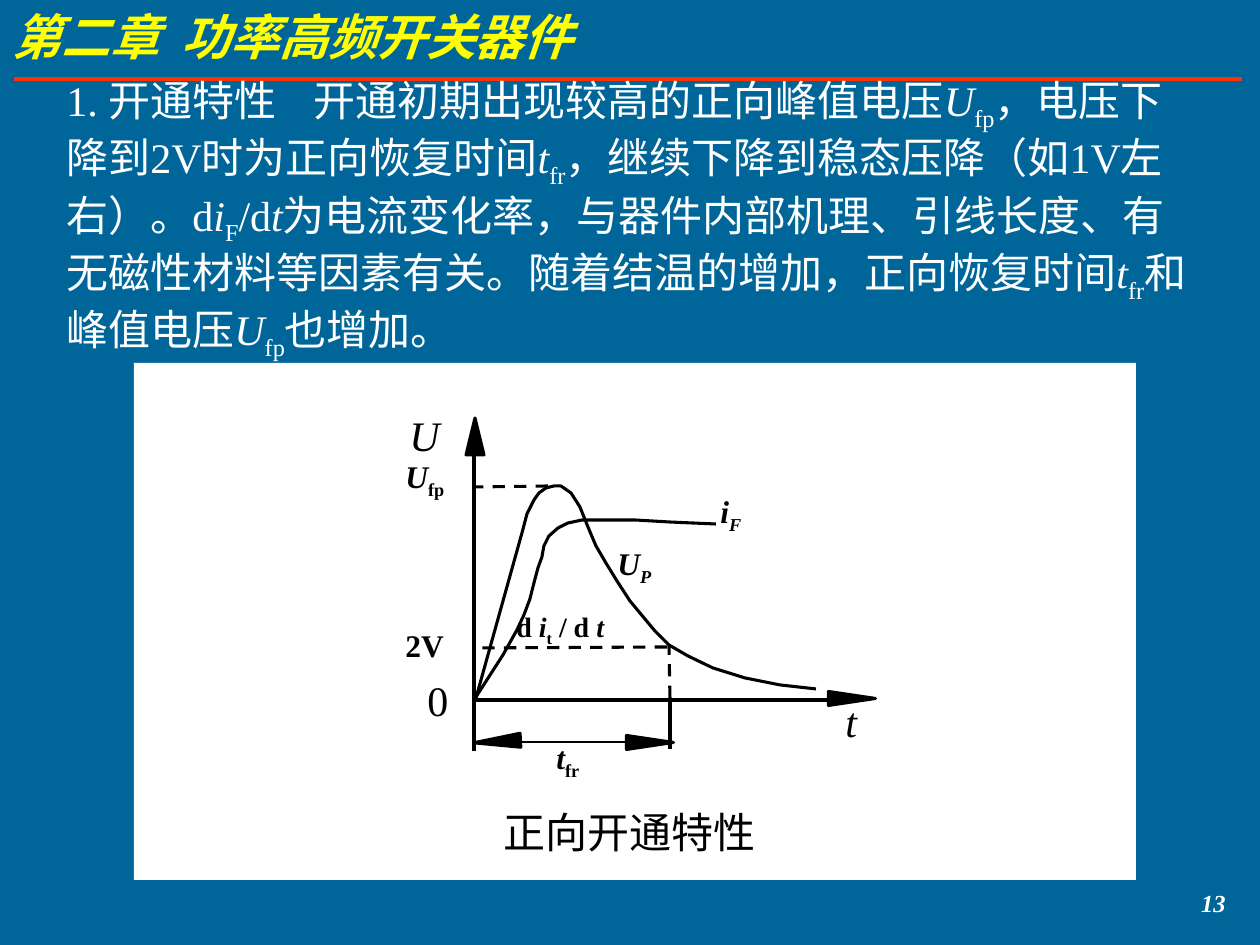
from dataclasses import dataclass

from lxml import etree
from pptx import Presentation
from pptx.dml.color import RGBColor
from pptx.enum.dml import MSO_LINE
from pptx.enum.shapes import MSO_CONNECTOR, MSO_SHAPE
from pptx.enum.text import MSO_ANCHOR, MSO_AUTO_SIZE, PP_ALIGN
from pptx.oxml.ns import qn
from pptx.util import Emu, Pt

STRAIGHT = MSO_CONNECTOR.STRAIGHT
RECTANGLE = MSO_SHAPE.RECTANGLE
TRIANGLE = MSO_SHAPE.ISOSCELES_TRIANGLE
DASH = MSO_LINE.DASH
TOP, MIDDLE = MSO_ANCHOR.TOP, MSO_ANCHOR.MIDDLE
LEFT, RIGHT = PP_ALIGN.LEFT, PP_ALIGN.RIGHT
GROW, FIXED = MSO_AUTO_SIZE.SHAPE_TO_FIT_TEXT, MSO_AUTO_SIZE.NONE

EMU_PER_PX = 914400 / 126
FONT = "Times New Roman"
BLUE, WHITE, BLACK, YELLOW, RED = "006699", "FFFFFF", "000000", "FFFF00", "FF3300"
STROKE = 1.76


@dataclass
class Run:
    """A piece of text; style letters: b bold, i italic, s subscript."""
    text: str
    style: str = ""
    size: float = 0


@dataclass
class Label:
    """A text box in pixels with its runs."""
    box: tuple[int, int, int, int]
    size: float
    runs: list[Run]
    color: str = BLACK
    wrap: bool = False
    anchor: MSO_ANCHOR = MIDDLE
    align: PP_ALIGN = LEFT
    fit: MSO_AUTO_SIZE = GROW


@dataclass
class Line:
    """A straight line between two points in pixels."""
    start: tuple[int, int]
    end: tuple[int, int]
    width: float = STROKE
    color: str = BLACK
    dashed: bool = False


@dataclass
class Arrowhead:
    """A solid triangle, turned clockwise by some degrees."""
    box: tuple[int, int, int, int]
    rotation: float


def px(value: float) -> Emu:
    """Turn pixels into EMU."""
    return Emu(round(value * EMU_PER_PX))


def paint(target, color: str) -> None:
    """Give a fill a solid colour."""
    target.solid()
    target.fore_color.rgb = RGBColor.from_string(color)


def draw_label(shapes, label: Label) -> None:
    """Add a text box with formatted runs."""
    frame = shapes.add_textbox(*map(px, label.box)).text_frame
    frame.word_wrap = label.wrap
    frame.auto_size = label.fit
    frame.vertical_anchor = label.anchor
    paragraph = frame.paragraphs[0]
    paragraph.alignment = label.align
    for part in label.runs:
        run = paragraph.add_run()
        run.text = part.text
        font = run.font
        font.name, font.size = FONT, Pt(part.size or label.size)
        font.bold, font.italic = "b" in part.style, "i" in part.style
        font.color.rgb = RGBColor.from_string(label.color)
        if "s" in part.style:
            run._r.get_or_add_rPr().set("baseline", "-25000")


def draw_line(shapes, line: Line) -> None:
    """Add a straight connector without shadow."""
    connector = shapes.add_connector(STRAIGHT, *map(px, line.start + line.end))
    paint(connector.line.fill, line.color)
    connector.line.width = Pt(line.width)
    if line.dashed:
        connector.line.dash_style = DASH
    etree.SubElement(connector._element.spPr, qn("a:effectLst"))


def draw_curve(shapes, points: list[tuple[int, int]]) -> None:
    """Add an open, unfilled curve through the points."""
    builder = shapes.build_freeform(*points[0], scale=EMU_PER_PX)
    builder.add_line_segments(points[1:], close=False)
    curve = builder.convert_to_shape()
    curve.shadow.inherit = False
    curve.fill.background()
    paint(curve.line.fill, BLACK)
    curve.line.width = Pt(STROKE)


def draw_arrowhead(shapes, head: Arrowhead) -> None:
    """Add a black triangle."""
    triangle = shapes.add_shape(TRIANGLE, *map(px, head.box))
    triangle.rotation = head.rotation
    triangle.shadow.inherit = False
    paint(triangle.fill, BLACK)
    paint(triangle.line.fill, BLACK)
    triangle.line.width = Pt(STROKE)


def draw_panel(shapes, box: tuple[int, int, int, int]) -> None:
    """Add the white ground of the diagram."""
    panel = shapes.add_shape(RECTANGLE, *map(px, box))
    panel.shadow.inherit = False
    paint(panel.fill, WHITE)
    panel.line.fill.background()


HEADER_RULE = Line((14, 79), (1242, 79), 2.24, RED)
PAGE_TEXTS = [
    Label((0, 0, 767, 72), 28, [Run("第二章  功率高频开关器件", "bi")], YELLOW, True, TOP),
    Label((1102, 882, 136, 42), 14, [Run("13", "bi")], WHITE, True, TOP, RIGHT, FIXED),
    Label((54, 72, 1147, 292), 24, [
        Run("1. 开通特性    开通初期出现较高的正向峰值电压"), Run("U", "i"), Run("fp", "s"),
        Run("，电压下降到2V时为正向恢复时间"), Run("t", "i"), Run("fr", "s"),
        Run("，继续下降到稳态压降（如1V左右）。d"), Run("i", "i"), Run("F", "s"),
        Run("/d"), Run("t", "i"),
        Run("为电流变化率，与器件内部机理、引线长度、有无磁性材料等因素有关。"
            "随着结温的增加，正向恢复时间"),
        Run("t", "i"), Run("fr", "s"), Run("和峰值电压"),
        Run("U", "i"), Run("fp", "s"), Run("也增加。"),
    ], WHITE, True),
]

VOLTAGE_CURVE = [
    (476, 698), (522, 533), (527, 514), (534, 500), (539, 493), (546, 488), (554, 486),
    (561, 486), (571, 493), (580, 507), (588, 527), (596, 546), (606, 563), (617, 581),
    (630, 601), (645, 619), (655, 631), (669, 645), (688, 656), (713, 668), (745, 678),
    (780, 685), (816, 689),
]
CURRENT_CURVE = [
    (474, 700), (503, 655), (517, 630), (524, 615), (530, 599), (534, 583), (538, 568),
    (542, 557), (544, 546), (549, 536), (558, 528), (568, 523), (582, 520), (597, 520),
    (636, 520), (670, 522), (716, 524),
]
DIAGRAM_LINES = [
    Line((842, 700), (474, 700)),
    Line((474, 432), (474, 751)),
    Line((548, 486), (474, 487), dashed=True),
    Line((667, 647), (476, 648), dashed=True),
    Line((670, 698), (669, 646), dashed=True),
    Line((670, 749), (670, 699)),
    Line((673, 742), (477, 742), 0.99),
]
ARROWHEADS = [
    Arrowhead((466, 418, 18, 37), 0),
    Arrowhead((845, 675, 14, 47), 90),
    Arrowhead((643, 719, 14, 47), 90),
    Arrowhead((490, 718, 14, 47), 266.9),
]
DIAGRAM_LABELS = [
    Label((491, 800, 286, 63), 24, [Run("正向开通特性 ")]),
    Label((397, 403, 66, 63), 24, [Run("U ", "i")]),
    Label((393, 451, 68, 55), 18, [Run("U", "bi"), Run("fp ", "bs")]),
    Label((393, 609, 74, 63), 18, [Run("2V", "b"), Run(" ", "b", 24)]),
    Label((504, 603, 171, 52), 16, [
        Run("d", "b"), Run(" i", "bi"), Run("t", "bs"), Run(" / d", "b"), Run(" t ", "bi"),
    ], wrap=True),
    Label((605, 538, 67, 55), 18, [Run("U", "bi"), Run("P ", "bis")]),
    Label((708, 486, 54, 55), 18, [Run("i", "bi"), Run("F ", "bis")]),
    Label((544, 732, 55, 55), 18, [Run("t", "bi"), Run("fr ", "bs")]),
    Label((415, 668, 57, 63), 24, [Run("0 ")]),
    Label((833, 689, 47, 63), 24, [Run("t ", "i")]),
]


def main() -> None:
    """Build the slide and save it."""
    deck = Presentation()
    deck.slide_width, deck.slide_height = px(1260), px(945)
    slide = deck.slides.add_slide(deck.slide_layouts[6])
    paint(slide.background.fill, BLUE)
    shapes = slide.shapes
    draw_line(shapes, HEADER_RULE)
    for text in PAGE_TEXTS:
        draw_label(shapes, text)
    draw_panel(shapes, (134, 363, 1002, 517))
    for curve in (VOLTAGE_CURVE, CURRENT_CURVE):
        draw_curve(shapes, curve)
    for line in DIAGRAM_LINES:
        draw_line(shapes, line)
    for head in ARROWHEADS:
        draw_arrowhead(shapes, head)
    for label in DIAGRAM_LABELS:
        draw_label(shapes, label)
    deck.save("out.pptx")


main()
